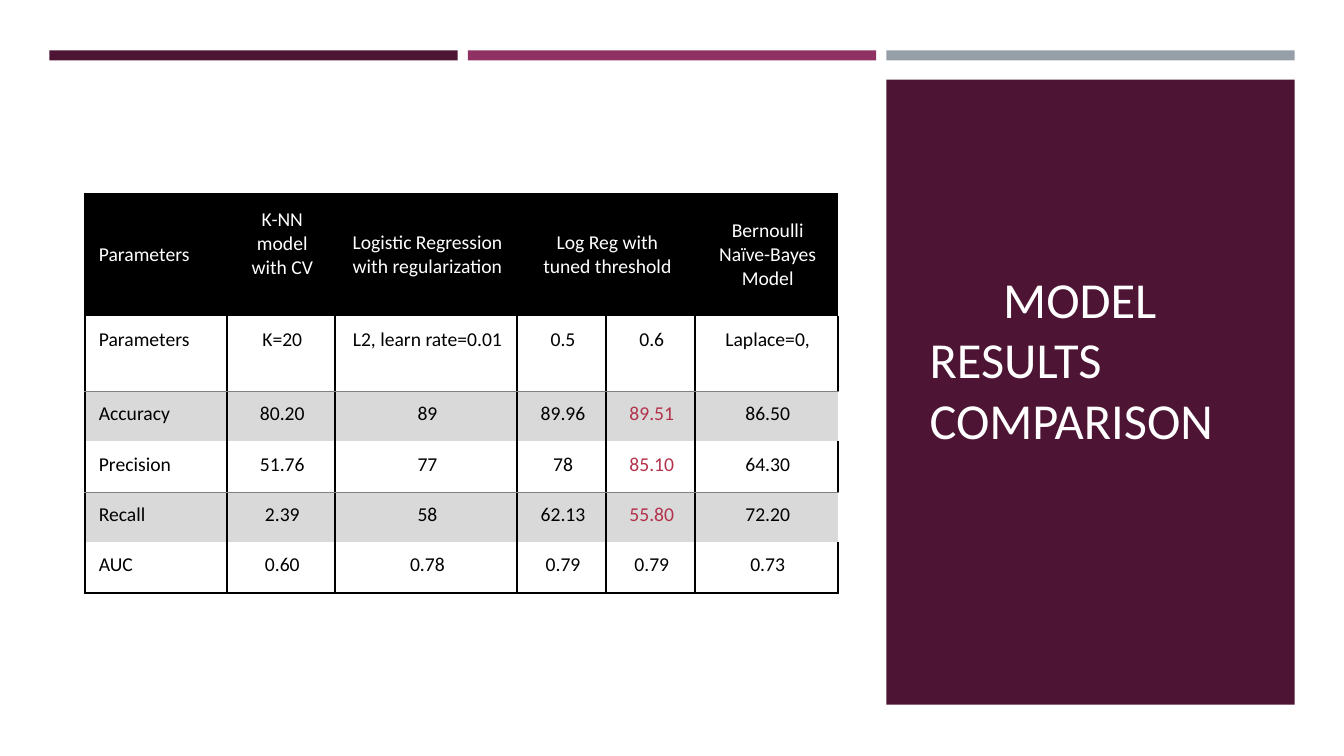
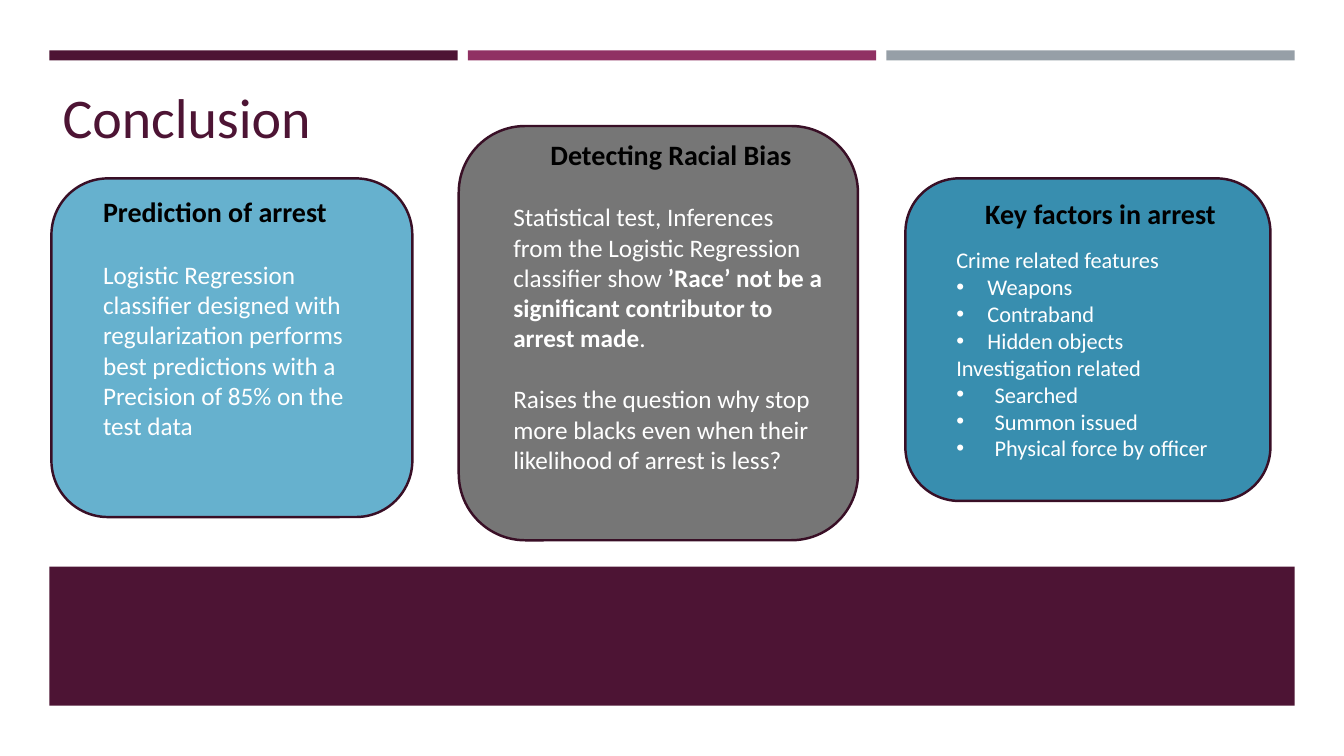
from pptx import Presentation
from pptx.dml.color import RGBColor
from pptx.enum.shapes import MSO_SHAPE as Shape
from pptx.enum.text import MSO_ANCHOR as Anchor, PP_ALIGN as Align
from pptx.oxml.xmlchemy import OxmlElement
from pptx.util import Inches, Pt

# Shared style
FONT = "Calibri"
PLUM, MAGENTA, SILVER = "4D1434", "903163", "969FA7"
BLACK, WHITE, CRIMSON, BAND_GRAY, RULE_GRAY = "000000", "FFFFFF", "B2324B", "D9D9D9", "808080"
OUTLINE = "390F26"
LEFT, BAR_WIDTH, BAR_STEP = 0.49, 4.05, 4.15

# Model comparison
HEADER = ["Parameters", "K-NN model with CV", "Logistic Regression with regularization",
          "Log Reg with tuned threshold", "", "Bernoulli Naïve-Bayes Model"]
RESULTS = [
    ["Parameters", "K=20", "L2, learn rate=0.01", "0.5", "0.6", "Laplace=0,"],
    ["Accuracy", "80.20", "89", "89.96", "89.51", "86.50"],
    ["Precision", "51.76", "77", "78", "85.10", "64.30"],
    ["Recall", "2.39", "58", "62.13", "55.80", "72.20"],
    ["AUC", "0.60", "0.78", "0.79", "0.79", "0.73"],
]
COLUMN_WIDTHS = [1.41, 1.07, 1.81, 0.88, 0.88, 1.42]
ROW_HEIGHTS = [1.22, 0.74, 0.5, 0.5, 0.5, 0.5]
TUNED_COLUMN, TUNED_ROWS, BANDED_ROWS = 4, (2, 3, 4), (2, 4)

# Conclusion cards: each paragraph is a list of (text, bold) and its bullet indent, 0 for none
CARDS = [
    {"box": (0.51, 1.77, 3.58, 3.36), "fill": "66B1CE", "top": 0,
     "heading": "Prediction of arrest", "align": Align.LEFT, "size": 18, "heading_gap": 22, "gap": 0,
     "body": [([("Logistic Regression classifier designed with regularization performs best "
                 "predictions with a Precision of 85% on the test data", False)], 0)]},
    {"box": (4.55, 1.25, 3.96, 4.11), "fill": "767676", "top": -0.08,
     "heading": "Detecting Racial Bias", "align": Align.CENTER, "size": 18, "heading_gap": 22, "gap": 22,
     "body": [([("Statistical test, Inferences from the Logistic Regression classifier show ", False),
                ("’Race’ not be a significant contributor to arrest made", True), (".", False)], 0),
              ([("Raises the question why stop more blacks even when their likelihood "
                 "of arrest is less?", False)], 0)]},
    {"box": (8.98, 1.77, 3.62, 3.2), "fill": "388EAF", "top": 0.02,
     "heading": "Key factors in arrest", "align": Align.CENTER, "size": 16, "heading_gap": 12, "gap": 0,
     "body": [([(text, False)], indent) for text, indent in [
         ("Crime related features", 0), ("Weapons", 0.31), ("Contraband", 0.31),
         ("Hidden objects", 0.31), ("Investigation related", 0), ("Searched", 0.38),
         ("Summon issued", 0.38), ("Physical force by officer", 0.38)]]},
]


def color(value):
    return RGBColor.from_string(value)


def format_runs(paragraph, size, font_color, bold=False):
    for run in paragraph.runs:
        run.font.name, run.font.size, run.font.bold = FONT, Pt(size), bold
        run.font.color.rgb = color(font_color)


def indent_paragraph(paragraph, left, first_line, bullet=False):
    properties = paragraph._p.get_or_add_pPr()
    properties.set("marL", str(Inches(left)))
    properties.set("indent", str(Inches(first_line)))
    if bullet:
        font = OxmlElement("a:buFont")
        font.set("typeface", "Arial")
        mark = OxmlElement("a:buChar")
        mark.set("char", "•")
        properties.extend([font, mark])


def add_block(slide, kind, box, fill, line=None):
    shape = slide.shapes.add_shape(kind, *map(Inches, box))
    shape.shadow.inherit = False
    shape.fill.solid()
    shape.fill.fore_color.rgb = color(fill)
    if line:
        shape.line.color.rgb = color(line)
        shape.line.width = Pt(1.75)
    else:
        shape.line.fill.background()
    return shape


def add_slide(presentation, title_text, title_box, title_size, title_color, panel):
    slide = presentation.slides.add_slide(presentation.slide_layouts[5])
    for index, fill in enumerate((PLUM, MAGENTA, SILVER)):
        add_block(slide, Shape.RECTANGLE, (LEFT + index * BAR_STEP, 0.5, BAR_WIDTH, 0.1), fill)
    add_block(slide, Shape.RECTANGLE, panel, PLUM)
    title = slide.shapes.title
    title.left, title.top, title.width, title.height = map(Inches, title_box)
    frame = title.text_frame
    frame.text = title_text
    frame.word_wrap = True
    frame.vertical_anchor = Anchor.BOTTOM
    frame.paragraphs[0].alignment = Align.LEFT
    format_runs(frame.paragraphs[0], title_size, title_color)
    title.element.getparent().append(title.element)  # bring in front of the panel
    return slide


def set_borders(cell, borders):
    properties = cell._tc.get_or_add_tcPr()
    for position, side in enumerate("LRTB"):
        line = OxmlElement(f"a:ln{side}")
        if side in borders:
            line_color, width = borders[side]
            line.set("w", str(Pt(width)))
            fill = OxmlElement("a:solidFill")
            value = OxmlElement("a:srgbClr")
            value.set("val", line_color)
            fill.append(value)
        else:
            fill = OxmlElement("a:noFill")
        line.append(fill)
        properties.insert(position, line)


def cell_borders(row, column):
    strong, thin = (BLACK, 1.5), (RULE_GRAY, 0.5)
    if row == 0:
        return {"T": strong, "L": strong} if column == 0 else {"T": strong}
    borders = {"L": strong, "R": strong}
    if row in BANDED_ROWS:
        borders["T"] = thin
        if column == len(HEADER) - 1:
            del borders["R"]
    else:
        borders["B"] = strong if row == len(RESULTS) else thin
    return borders


def add_results_table(slide):
    rows = [HEADER] + RESULTS
    table = slide.shapes.add_table(len(rows), len(HEADER), Inches(0.84), Inches(1.92),
                                   Inches(sum(COLUMN_WIDTHS)), Inches(sum(ROW_HEIGHTS))).table
    table.horz_banding = False
    for column, width in zip(table.columns, COLUMN_WIDTHS):
        column.width = Inches(width)
    for table_row, height in zip(table.rows, ROW_HEIGHTS):
        table_row.height = Inches(height)
    table.cell(0, 3).merge(table.cell(0, 4))
    for r, values in enumerate(rows):
        for c, text in enumerate(values):
            cell = table.cell(r, c)
            cell.margin_left = Inches(0.14)
            cell.margin_right = cell.margin_top = cell.margin_bottom = Inches(0.11)
            cell.vertical_anchor = Anchor.TOP if r else Anchor.MIDDLE
            cell.fill.solid()
            fill = BLACK if r == 0 else BAND_GRAY if r in BANDED_ROWS else WHITE
            cell.fill.fore_color.rgb = color(fill)
            set_borders(cell, cell_borders(r, c))
            if not cell.is_spanned:
                cell.text_frame.text = text
                paragraph = cell.text_frame.paragraphs[0]
                paragraph.alignment = Align.CENTER if c else Align.LEFT
                tuned = c == TUNED_COLUMN and r in TUNED_ROWS
                format_runs(paragraph, 14, WHITE if r == 0 else CRIMSON if tuned else BLACK)
    table.cell(0, 1).margin_bottom = Inches(0.34)  # the K-NN heading sits higher


def add_card(slide, card):
    shape = add_block(slide, Shape.ROUNDED_RECTANGLE, card["box"], card["fill"], OUTLINE)
    frame = shape.text_frame
    frame.word_wrap = True
    frame.vertical_anchor = Anchor.TOP
    frame.margin_top = Inches(card["top"])
    frame.text = card["heading"]
    heading = frame.paragraphs[0]
    heading.alignment = card["align"]
    heading.space_after = Pt(card["heading_gap"])
    indent_paragraph(heading, 0.25, 0)
    format_runs(heading, 20, BLACK, bold=True)
    for segments, bullet_indent in card["body"]:
        paragraph = frame.add_paragraph()
        paragraph.alignment = Align.LEFT
        paragraph.space_after = Pt(card["gap"])
        indent_paragraph(paragraph, 0.25 + bullet_indent, -bullet_indent, bullet_indent > 0)
        for text, _ in segments:
            paragraph.add_run().text = text
        format_runs(paragraph, card["size"], WHITE)
        for run, (_, bold) in zip(paragraph.runs, segments):
            run.font.bold = bold


def main():
    presentation = Presentation()
    presentation.slide_width, presentation.slide_height = Inches(13.33), Inches(7.5)

    # Model comparison
    slide = add_slide(presentation, "MODEL RESULTS COMPARISON", (9.12, 2.23, 3.37, 2.28), 36, WHITE,
                      panel=(LEFT + 2 * BAR_STEP, 0.79, BAR_WIDTH, 6.2))
    indent_paragraph(slide.shapes.title.text_frame.paragraphs[0], 0, 0.73)
    add_results_table(slide)

    # Conclusion
    slide = add_slide(presentation, "Conclusion", (0.52, 0.67, 12.18, 0.87), 40, PLUM,
                      panel=(LEFT, 5.62, 2 * BAR_STEP + BAR_WIDTH, 1.38))
    for card in CARDS:
        add_card(slide, card)

    presentation.save("out.pptx")


if __name__ == "__main__":
    main()
